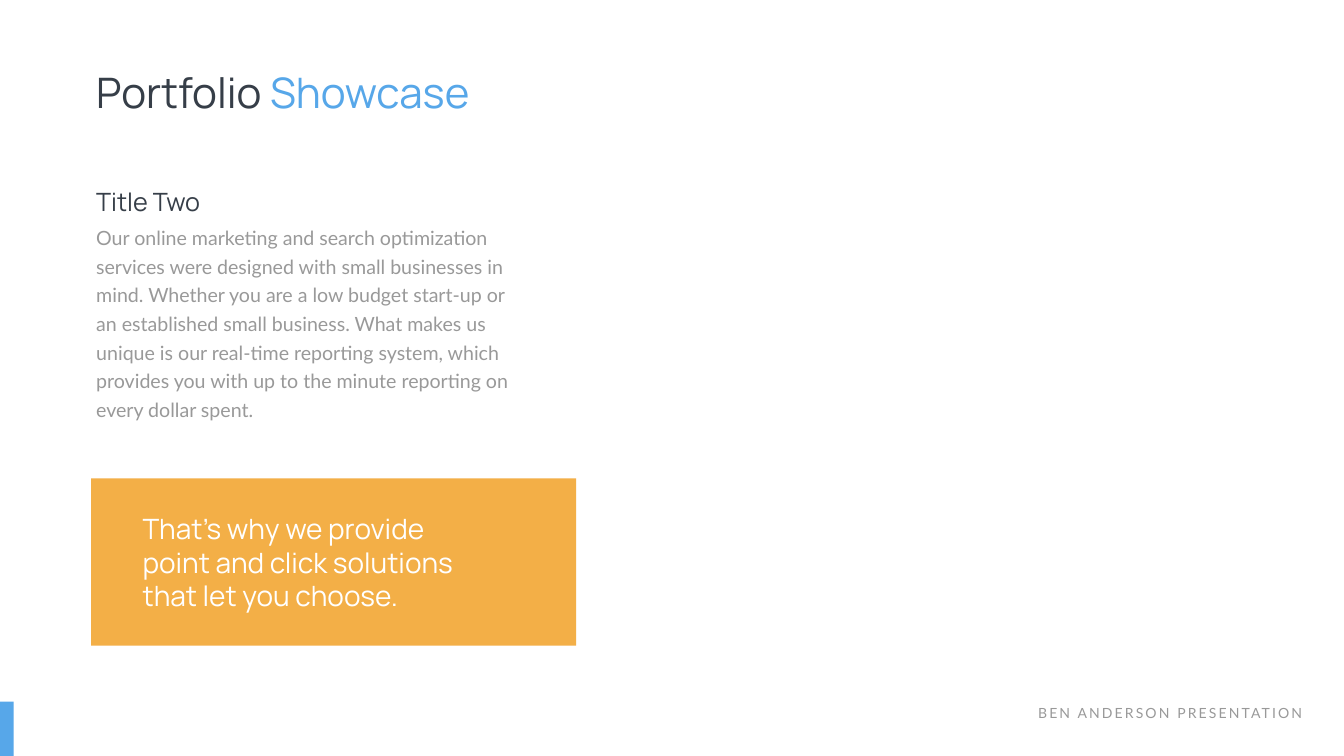
import dataclasses

import pptx
import pptx.dml.color
import pptx.enum.shapes
import pptx.enum.text
import pptx.util
from pptx.util import Inches


@dataclasses.dataclass(frozen=True)
class Theme:
    dark: str = "363E48"
    grey: str = "999999"
    blue: str = "57A7E9"
    orange: str = "F3AF47"
    white: str = "FFFFFF"
    heading_font: str = "Manrope"
    body_font: str = "Lato"
    title_size: int = 60
    callout_size: int = 40
    subtitle_size: int = 36
    body_size: int = 28
    footer_size: int = 20
    body_leading: float = 40.8


THEME = Theme()
ALIGN = pptx.enum.text.PP_ALIGN


def color(value):
    return pptx.dml.color.RGBColor.from_string(value)


def add_text(shapes, box, spans, size, font, spacing=None, **para_format):
    """Add a one-paragraph text box; spans are (text, colour) pairs."""
    frame = shapes.add_textbox(*map(Inches, box)).text_frame
    frame.word_wrap = True
    frame.auto_size = pptx.enum.text.MSO_AUTO_SIZE.SHAPE_TO_FIT_TEXT
    para = frame.paragraphs[0]
    for name, value in para_format.items():
        setattr(para, name, value)
    for text, fill in spans:
        span = para.add_run()
        span.text = text
        for name, value in {"size": pptx.util.Pt(size), "name": font}.items():
            setattr(span.font, name, value)
        span.font.color.rgb = color(fill)
        if spacing:
            span.font._element.set("spc", str(spacing * 100))


def add_block(shapes, box, fill):
    block = shapes.add_shape(pptx.enum.shapes.MSO_SHAPE.RECTANGLE, *map(Inches, box))
    block.shadow.inherit = False
    block.fill.solid()
    block.fill.fore_color.rgb = color(fill)
    block.line.fill.background()


def add_title(shapes, box):
    spans = [("Portfolio ", THEME.dark), ("Showcase", THEME.blue)]
    add_text(shapes, box, spans, THEME.title_size, THEME.heading_font)


def add_article(shapes, box):
    """Group a subtitle with the body text below it."""
    left, top, width, height = box
    title_height = 0.7
    group = shapes.add_group_shape().shapes
    add_text(group, (left, top + title_height, width, height - title_height),
             [("Our online marketing and search optimization services were designed "
               "with small businesses in mind. Whether you are a low budget start-up "
               "or an established small business. What makes us unique is our "
               "real-time reporting system, which provides you with up to the minute "
               "reporting on every dollar spent.", THEME.grey)],
             THEME.body_size, THEME.body_font,
             line_spacing=pptx.util.Pt(THEME.body_leading))
    add_text(group, (left, top, 6.1, title_height), [("Title Two", THEME.dark)],
             THEME.subtitle_size, THEME.heading_font)


def add_callout(shapes, box):
    left, top, width, height = box
    add_block(shapes, box, THEME.orange)
    add_text(shapes, (left + 0.92, top + 0.61, 7.16, height - 1.2),
             [("That’s why we provide point and click solutions that let you choose.",
               THEME.white)],
             THEME.callout_size, THEME.heading_font)


def add_footer(shapes, box):
    """Place the accent block at the left edge and the label at the right."""
    left, top, width, height = box
    label_width = 5.85
    add_text(shapes, (left + width - label_width, top, label_width, 0.44),
             [("BEN ANDERSON PRESENTATION", THEME.grey)],
             THEME.footer_size, THEME.body_font, spacing=3, alignment=ALIGN.RIGHT)
    add_block(shapes, (left, top, 0.27, height), THEME.blue)


def main():
    deck = pptx.Presentation()
    deck.slide_width, deck.slide_height = Inches(26.66), Inches(15)
    page = deck.slides.add_slide(deck.slide_layouts[6])
    page.background.fill.solid()
    page.background.fill.fore_color.rgb = color(THEME.white)

    margin = 1.81
    add_title(page.shapes, (margin, 1.28, 9.76, 1.11))
    add_footer(page.shapes, (0, 13.92, 25.93, 1.08))
    add_article(page.shapes, (margin, 3.64, 8.69, 4.77))
    add_callout(page.shapes, (margin, 9.49, 9.62, 3.32))
    deck.save("out.pptx")


if __name__ == "__main__":
    main()
